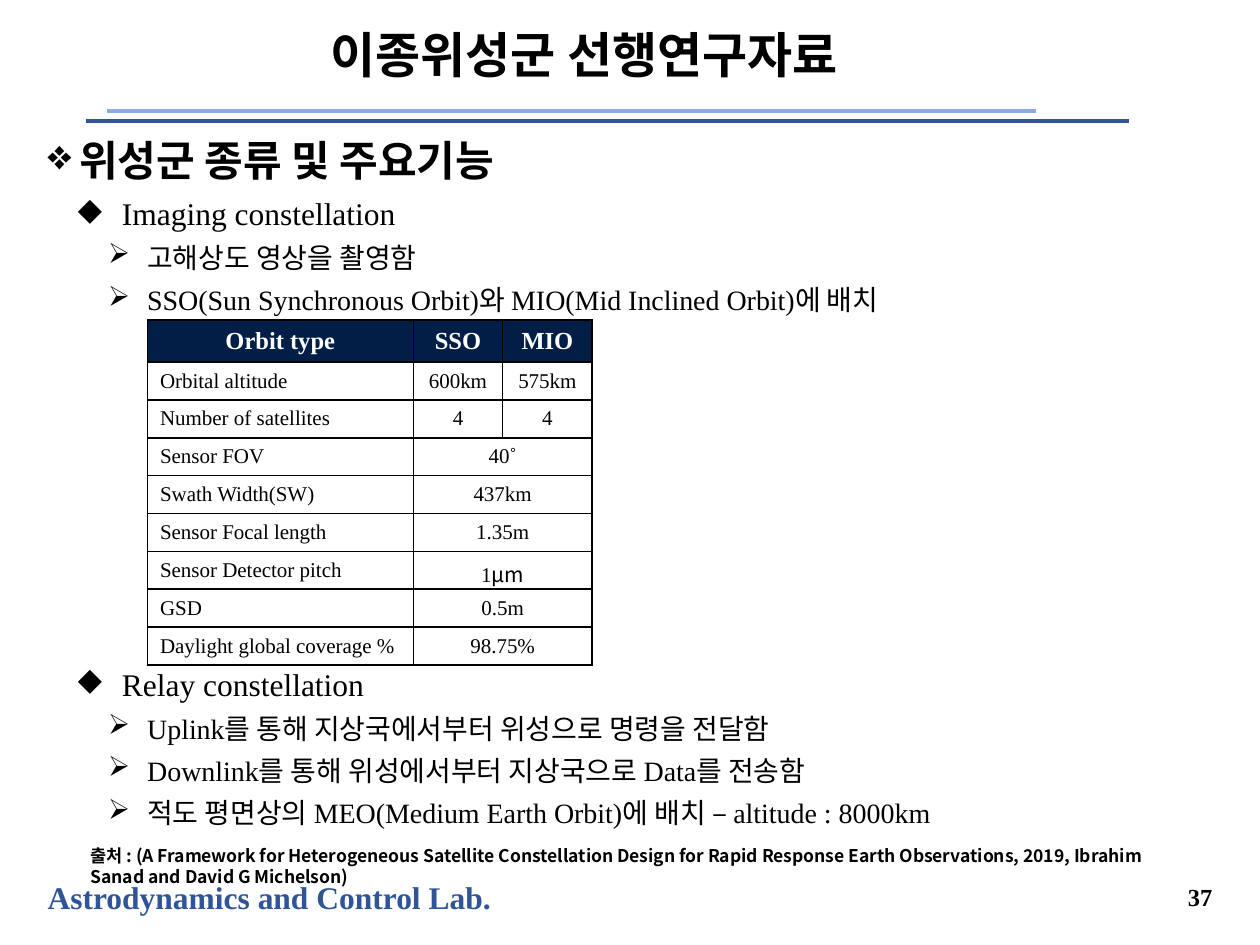
from lxml import etree
from pptx import Presentation
from pptx.dml.color import RGBColor
from pptx.enum import shapes, text
from pptx.oxml import ns
from pptx.util import Inches, Pt

SERIF = "Times New Roman"
SANS = "Noto Sans CJK KR"
BLACK = RGBColor(0x00, 0x00, 0x00)
WHITE = RGBColor(0xFF, 0xFF, 0xFF)
NAVY = RGBColor(0x00, 0x1E, 0x46)
BLUE = RGBColor(0x2F, 0x55, 0x97)
LIGHT_BLUE = RGBColor(0x8F, 0xAA, 0xDC)
ALIGN = text.PP_ALIGN
MIDDLE = text.MSO_ANCHOR.MIDDLE

TITLE = "이종위성군 선행연구자료"
LAB = "Astrodynamics and Control Lab."
PAGE = "37"
SOURCE = ("출처 : (A Framework for Heterogeneous Satellite Constellation Design for Rapid "
          "Response Earth Observations, 2019, Ibrahim Sanad and David G Michelson)")

# level: bullet, left margin, hanging indent, size, bold
LEVELS = [
    ("❖", 0.25, 0.39, 24, True),
    ("◆", 0.59, 0.35, 18, False),
    ("➢", 0.79, 0.31, 16, False),
]
LINE_GAP = 5
TABLE_GAP = 199  # space that the table takes up between two paragraphs
OUTLINE = [  # level, space before, text
    (0, 0, "위성군 종류 및 주요기능"),
    (1, LINE_GAP, "Imaging constellation"),
    (2, LINE_GAP, "고해상도 영상을 촬영함"),
    (2, LINE_GAP, "SSO(Sun Synchronous Orbit)와 MIO(Mid Inclined Orbit)에 배치"),
    (1, TABLE_GAP, "Relay constellation"),
    (2, LINE_GAP, "Uplink를 통해 지상국에서부터 위성으로 명령을 전달함"),
    (2, LINE_GAP, "Downlink를 통해 위성에서부터 지상국으로 Data를 전송함"),
    (2, LINE_GAP, "적도 평면상의 MEO(Medium Earth Orbit)에 배치 – altitude : 8000km"),
]

# A row with one value spans both orbit columns; a cell is a list of (text, font)
ORBITS = [
    ("Orbit type", "SSO", "MIO"),
    ("Orbital altitude", "600km", "575km"),
    ("Number of satellites", "4", "4"),
    ("Sensor FOV", "40˚"),
    ("Swath Width(SW)", "437km"),
    ("Sensor Focal length", "1.35m"),
    ("Sensor Detector pitch", [("1", SERIF), ("μm", SANS)]),
    ("GSD", "0.5m"),
    ("Daylight global coverage %", "98.75%"),
]
COLUMN_WIDTHS = [2.11, 0.71, 0.71]
HEADER_HEIGHT, ROW_HEIGHT = 0.24, 0.21

RULES = [(0.68, 8.96, 0.96, BLUE), (0.85, 8.22, 0.88, LIGHT_BLUE)]


def add_run(paragraph, words, size, color=BLACK, bold=False, name=SERIF):
    run = paragraph.add_run()
    run.text = words
    run.font.name = name
    run.font.size = Pt(size)
    run.font.bold = bold
    run.font.color.rgb = color


def add_text_frame(slide, left, top, width, height, wrap=True):
    box = slide.shapes.add_textbox(*map(Inches, (left, top, width, height)))
    box.text_frame.word_wrap = wrap
    return box.text_frame


def set_indent(paragraph, margin, hanging=0.0, bullet=None):
    properties = paragraph._p.get_or_add_pPr()
    properties.set("marL", str(Inches(margin)))
    properties.set("indent", str(-Inches(hanging)))
    if bullet:
        etree.SubElement(properties, ns.qn("a:buChar")).set("char", bullet)


def add_rule(slide, start, end, y, color):
    line = slide.shapes.add_connector(
        shapes.MSO_CONNECTOR.STRAIGHT, Inches(start), Inches(y), Inches(end), Inches(y))
    line.line.color.rgb = color
    line.line.width = Pt(2.25)
    etree.SubElement(line._element.spPr, ns.qn("a:effectLst"))


def add_borders(cell):
    properties = cell._tc.get_or_add_tcPr()
    for side in ("lnL", "lnR", "lnT", "lnB"):
        border = etree.SubElement(properties, ns.qn(f"a:{side}"), w=str(Pt(1)))
        fill = etree.SubElement(border, ns.qn("a:solidFill"))
        etree.SubElement(fill, ns.qn("a:srgbClr"), val=str(BLACK))


def add_outline(slide):
    frame = add_text_frame(slide, 0.28, 1.02, 9.44, 5.88)
    for index, (level, gap, words) in enumerate(OUTLINE):
        bullet, margin, hanging, size, bold = LEVELS[level]
        paragraph = frame.add_paragraph() if index else frame.paragraphs[0]
        paragraph.level = level
        set_indent(paragraph, margin, hanging, bullet)
        if gap:
            paragraph.space_before = Pt(gap)
        add_run(paragraph, words, size, bold=bold)


def add_orbit_table(slide):
    frame = slide.shapes.add_table(
        len(ORBITS), len(COLUMN_WIDTHS),
        Inches(1.17), Inches(2.54), Inches(sum(COLUMN_WIDTHS)), Inches(2.73))
    table = frame.table
    for column, width in zip(table.columns, COLUMN_WIDTHS):
        column.width = Inches(width)
    for r, values in enumerate(ORBITS):
        header = r == 0
        table.rows[r].height = Inches(HEADER_HEIGHT if header else ROW_HEIGHT)
        if len(values) == 2:
            table.cell(r, 1).merge(table.cell(r, 2))
        for c in range(len(COLUMN_WIDTHS)):
            cell = table.cell(r, c)
            add_borders(cell)
            cell.fill.solid()
            cell.fill.fore_color.rgb = NAVY if header else WHITE
            cell.vertical_anchor = MIDDLE
            paragraph = cell.text_frame.paragraphs[0]
            paragraph.alignment = ALIGN.CENTER if header or c else ALIGN.JUSTIFY
            paragraph.font.size = Pt(14 if header else 12)
            if c < len(values):
                value = values[c]
                runs = [(value, SERIF)] if isinstance(value, str) else value
                for words, name in runs:
                    add_run(paragraph, words, 14 if header else 12,
                            WHITE if header else BLACK, header, name)
    frame.height = Inches(2.73)


def main():
    presentation = Presentation()
    presentation.slide_width, presentation.slide_height = Inches(10), Inches(7.5)
    slide = presentation.slides.add_slide(presentation.slide_layouts[5])

    lab = add_text_frame(slide, 0.28, 6.92, 3.76, 0.4, wrap=False)
    add_run(lab.paragraphs[0], LAB, 18, BLUE, True)
    for rule in RULES:
        add_rule(slide, *rule)

    page = add_text_frame(slide, 8.65, 6.92, 1.07, 0.39)
    page.vertical_anchor = MIDDLE
    page.paragraphs[0].alignment = ALIGN.RIGHT
    add_run(page.paragraphs[0], PAGE, 14, bold=True)

    title = slide.shapes.title
    title.left, title.top, title.width, title.height = map(Inches, (0.97, 0.08, 7.33, 0.75))
    title.text_frame.vertical_anchor = MIDDLE
    heading = title.text_frame.paragraphs[0]
    heading.alignment = ALIGN.CENTER
    heading.line_spacing = 0.9
    add_run(heading, TITLE, 28, bold=True)

    add_outline(slide)
    add_orbit_table(slide)

    source = add_text_frame(slide, 0.15, 6.66, 9.2, 0.44)
    source.auto_size = text.MSO_AUTO_SIZE.SHAPE_TO_FIT_TEXT
    source.paragraphs[0].level = 2
    set_indent(source.paragraphs[0], 0.47)
    add_run(source.paragraphs[0], SOURCE, 10, bold=True, name=SANS)

    presentation.save("out.pptx")


if __name__ == "__main__":
    main()
